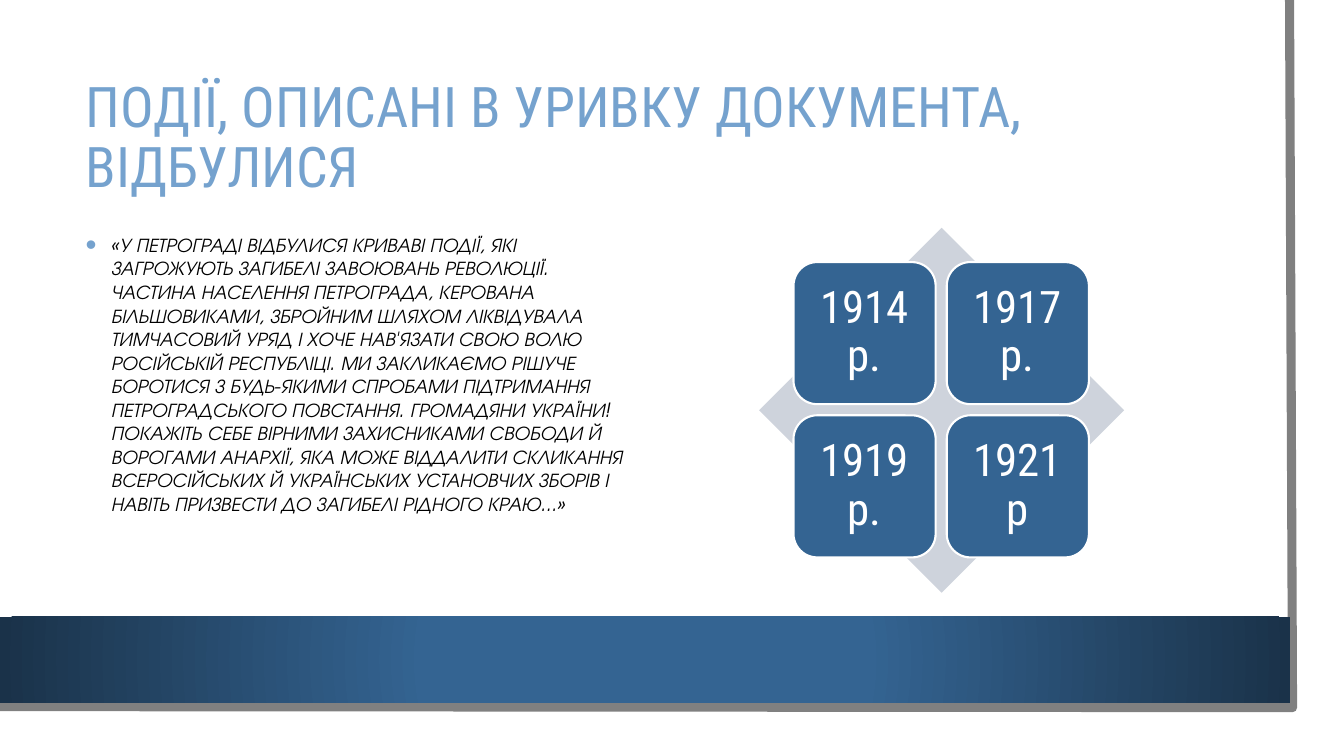
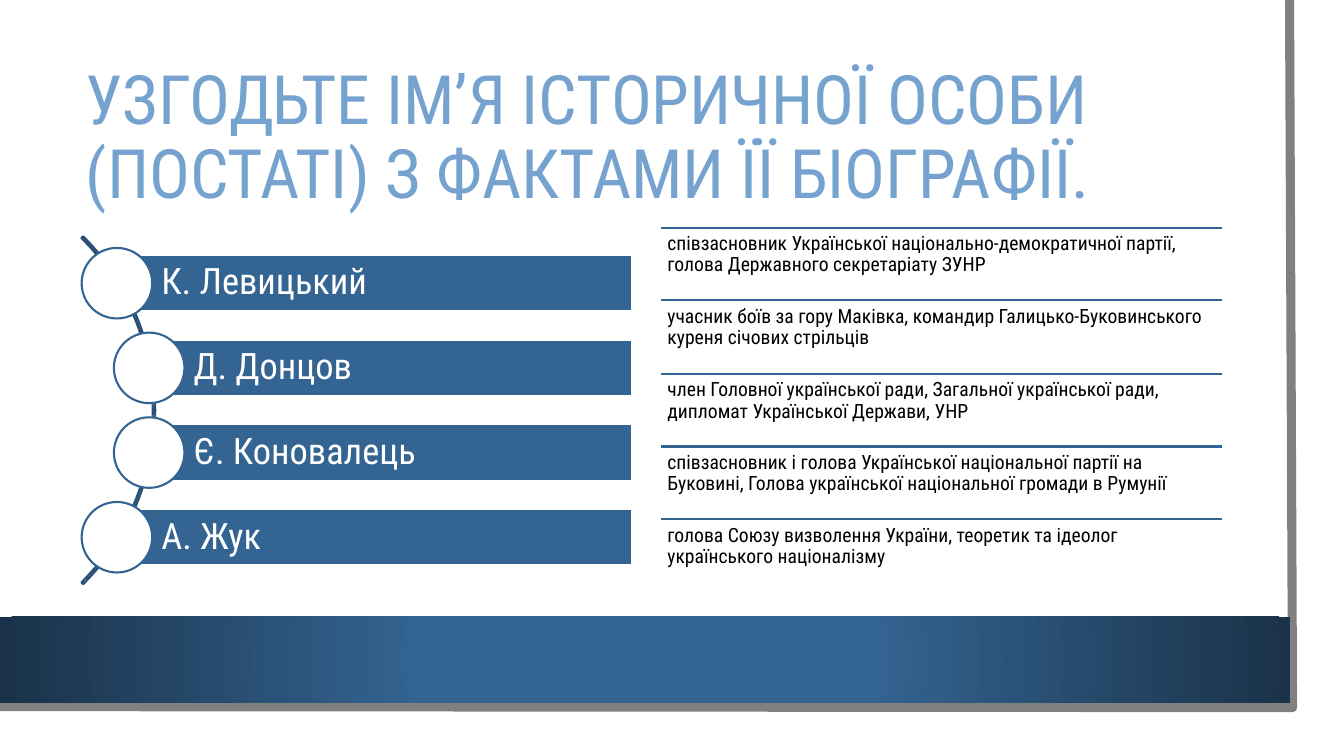
from lxml import etree
from pptx import Presentation
from pptx.dml.color import RGBColor
from pptx.enum.shapes import MSO_CONNECTOR, MSO_SHAPE
from pptx.enum.text import MSO_ANCHOR, MSO_AUTO_SIZE, PP_ALIGN
from pptx.oxml import parse_xml
from pptx.oxml.ns import nsdecls, qn
from pptx.util import Pt

PX = 9144  # one hundredth of an inch
COLOURS = {
    "title": "75A2CE", "blue": "346492", "navy": "1A3249", "arc": "2A5075",
    "diamond": "CED3DC", "frame": "808080", "white": "FFFFFF", "black": "000000",
}
SANS, GEOMETRIC = "Roboto Condensed", "TeX Gyre Adventor"
LEFT, CENTER = PP_ALIGN.LEFT, PP_ALIGN.CENTER
TOP, MIDDLE = MSO_ANCHOR.TOP, MSO_ANCHOR.MIDDLE
NO_AUTOFIT = MSO_AUTO_SIZE.NONE
STRAIGHT = MSO_CONNECTOR.STRAIGHT
RECTANGLE, ROUNDED = MSO_SHAPE.RECTANGLE, MSO_SHAPE.ROUNDED_RECTANGLE
DIAMOND, OVAL, BLOCK_ARC = MSO_SHAPE.DIAMOND, MSO_SHAPE.OVAL, MSO_SHAPE.BLOCK_ARC
TITLE_AND_CONTENT, TITLE_ONLY = 1, 5

QUOTE = (
    "«У ПЕТРОГРАДІ ВІДБУЛИСЯ КРИВАВІ ПОДІЇ, ЯКІ ЗАГРОЖУЮТЬ ЗАГИБЕЛІ ЗАВОЮВАНЬ "
    "РЕВОЛЮЦІЇ. ЧАСТИНА НАСЕЛЕННЯ ПЕТРОГРАДА, КЕРОВАНА БІЛЬШОВИКАМИ, ЗБРОЙНИМ "
    "ШЛЯХОМ ЛІКВІДУВАЛА ТИМЧАСОВИЙ УРЯД І ХОЧЕ НАВ'ЯЗАТИ СВОЮ ВОЛЮ РОСІЙСЬКІЙ "
    "РЕСПУБЛІЦІ. МИ ЗАКЛИКАЄМО РІШУЧЕ БОРОТИСЯ З БУДЬ-ЯКИМИ СПРОБАМИ ПІДТРИМАННЯ "
    "ПЕТРОГРАДСЬКОГО ПОВСТАННЯ. ГРОМАДЯНИ УКРАЇНИ! ПОКАЖІТЬ СЕБЕ ВІРНИМИ "
    "ЗАХИСНИКАМИ СВОБОДИ Й ВОРОГАМИ АНАРХІЇ, ЯКА МОЖЕ ВІДДАЛИТИ СКЛИКАННЯ "
    "ВСЕРОСІЙСЬКИХ Й УКРАЇНСЬКИХ УСТАНОВЧИХ ЗБОРІВ І НАВІТЬ ПРИЗВЕСТИ ДО ЗАГИБЕЛІ "
    "РІДНОГО КРАЮ...»"
)
YEARS = ["1914 р.", "1917 р.", "1919 р.", "1921 р"]
PERSONS = ["К. Левицький", "Д. Донцов", "Є. Коновалець", "А. Жук"]
FACTS = [
    "співзасновник Української національно-демократичної партії, голова "
    "Державного секретаріату ЗУНР",
    "учасник боїв за гору Маківка, командир Галицько-Буковинського куреня "
    "січових стрільців",
    "член Головної української ради, Загальної української ради, дипломат "
    "Української Держави, УНР",
    "співзасновник і голова Української національної партії на Буковині, Голова "
    "української національної громади в Румунії",
    "голова Союзу визволення України, теоретик та ідеолог українського "
    "націоналізму",
]


def px(*lengths):
    return [length * PX for length in lengths]


def rgb(colour):
    return RGBColor.from_string(COLOURS[colour])


def place(shape, box):
    shape.left, shape.top, shape.width, shape.height = px(*box)


def write(shape, text, size, colour, font=SANS, align=LEFT, anchor=TOP,
          spacing=0.9, insets=None, italic=False):
    """Fill a shape with one formatted paragraph; insets are left, top, right, bottom."""
    frame = shape.text_frame
    frame.text = text
    frame.word_wrap = True
    frame.auto_size = NO_AUTOFIT
    frame.vertical_anchor = anchor
    if insets:
        (frame.margin_left, frame.margin_top,
         frame.margin_right, frame.margin_bottom) = px(*insets)
    paragraph = frame.paragraphs[0]
    paragraph.alignment = align
    paragraph.line_spacing = spacing
    paragraph.space_before = Pt(0)
    for run in paragraph.runs:
        run.font.name = font
        run.font.size = Pt(size)
        run.font.bold = False
        run.font.italic = italic
        run.font.color.rgb = rgb(colour)
    return paragraph


def style(shape, fill=None, line=None, weight=1.5):
    shape.shadow.inherit = False
    if fill:
        shape.fill.solid()
        shape.fill.fore_color.rgb = rgb(fill)
    else:
        shape.fill.background()
    if line:
        shape.line.color.rgb = rgb(line)
        shape.line.width = Pt(weight)
    else:
        shape.line.fill.background()


def add_block(slide, kind, box, fill=None, line=None):
    block = slide.shapes.add_shape(kind, *px(*box))
    style(block, fill, line)
    return block


def add_rule(slide, left, right, y):
    rule = slide.shapes.add_connector(STRAIGHT, *px(left, y, right, y))
    rule.line.color.rgb = rgb("blue")
    rule.line.width = Pt(1.5)
    etree.SubElement(rule._element.spPr, qn("a:effectLst"))


def add_bullet(paragraph):
    properties = paragraph._p.get_or_add_pPr()
    properties.set("marL", str(25 * PX))
    properties.set("indent", str(-25 * PX))
    for xml in (
        f'<a:buClr {nsdecls("a")}><a:srgbClr val="{COLOURS["title"]}"/></a:buClr>',
        f'<a:buSzPct {nsdecls("a")} val="160000"/>',
        f'<a:buFont {nsdecls("a")} typeface="Arial"/>',
        f'<a:buChar {nsdecls("a")} char="•"/>',
    ):
        properties.append(parse_xml(xml))


def add_slide(prs, layout, title, size):
    slide = prs.slides.add_slide(prs.slide_layouts[layout])
    write(slide.shapes.title, title, size, "title", anchor=MIDDLE)
    return slide


def decorate_master(prs, slide):
    """Draw the frame and band on a slide, then move them to the master."""
    outline = slide.shapes.build_freeform(1279, 0, scale=PX)
    outline.add_line_segments([(1282, 702), (-3, 701)], close=False)
    frame = outline.convert_to_shape()
    style(frame, line="frame", weight=6.5)

    band = add_block(slide, RECTANGLE, (0, 612, 1280, 85))
    band.fill.gradient()
    for stop, position, colour in zip(
            band.fill.gradient_stops, (0.34, 1), ("blue", "navy")):
        stop.position = position
        stop.color.rgb = rgb(colour)
    linear = band._element.spPr.find(".//" + qn("a:lin"))
    linear.getparent().replace(linear, parse_xml(
        f'<a:path {nsdecls("a")} path="circle">'
        '<a:fillToRect l="50000" t="50000" r="50000" b="50000"/></a:path>'))

    master_tree = prs.slide_master.shapes._spTree
    for offset, part in enumerate((frame, band)):
        part._element.nvSpPr.cNvPr.id = 20 + offset
        master_tree.insert(2 + offset, part._element)


def add_year_matrix(slide):
    add_block(slide, DIAMOND, (753, 226, 362, 362), "diamond")
    for index, year in enumerate(YEARS):
        row, column = divmod(index, 2)
        tile = add_block(slide, ROUNDED, (787 + 152 * column, 260 + 152 * row, 141, 141),
                         "blue", "white")
        write(tile, year, 32, "white", align=CENTER, anchor=MIDDLE, insets=(13,) * 4)


def add_person_list(slide):
    arc = add_block(slide, BLOCK_ARC, (-334, 163, 488, 488), line="arc")
    for index, value in enumerate((189, 27, 0.005)):
        arc.adjustments[index] = value
    for index, person in enumerate(PERSONS):
        left = 116 if index in (0, len(PERSONS) - 1) else 148
        top = 253 + 84 * index
        bar = add_block(slide, RECTANGLE, (left, top, 627 - left, 56), "blue", "white")
        write(bar, person, 26, "white", anchor=MIDDLE, insets=(44, 7, 7, 7))
        add_block(slide, OVAL, (left - 35, top - 7, 70, 70), "white", "blue")


def add_fact_list(slide):
    for index, fact in enumerate(FACTS):
        top = round(226 + 72.3 * index)
        add_rule(slide, 656, 1212, top)
        entry = slide.shapes.add_textbox(*px(656, top, 556, 72))
        write(entry, fact, 14, "black", insets=(6,) * 4)


def main():
    prs = Presentation()
    prs.slide_width, prs.slide_height = px(1333, 750)
    place(prs.slide_master.placeholders[0], (75, 75, 1137, 127))

    events = add_slide(prs, TITLE_AND_CONTENT,
                       "ПОДІЇ, ОПИСАНІ В УРИВКУ ДОКУМЕНТА, ВІДБУЛИСЯ", 40)
    decorate_master(prs, events)
    quote = events.placeholders[1]
    place(quote, (75, 226, 557, 362))
    add_bullet(write(quote, QUOTE, 14, "black", font=GEOMETRIC, spacing=1.0, italic=True))
    add_year_matrix(events)

    biographies = add_slide(
        prs, TITLE_ONLY,
        "УЗГОДЬТЕ ІМ’Я ІСТОРИЧНОЇ ОСОБИ (ПОСТАТІ) З ФАКТАМИ ЇЇ БІОГРАФІЇ.", 48.6)
    add_person_list(biographies)
    add_fact_list(biographies)

    prs.save("out.pptx")


if __name__ == "__main__":
    main()
